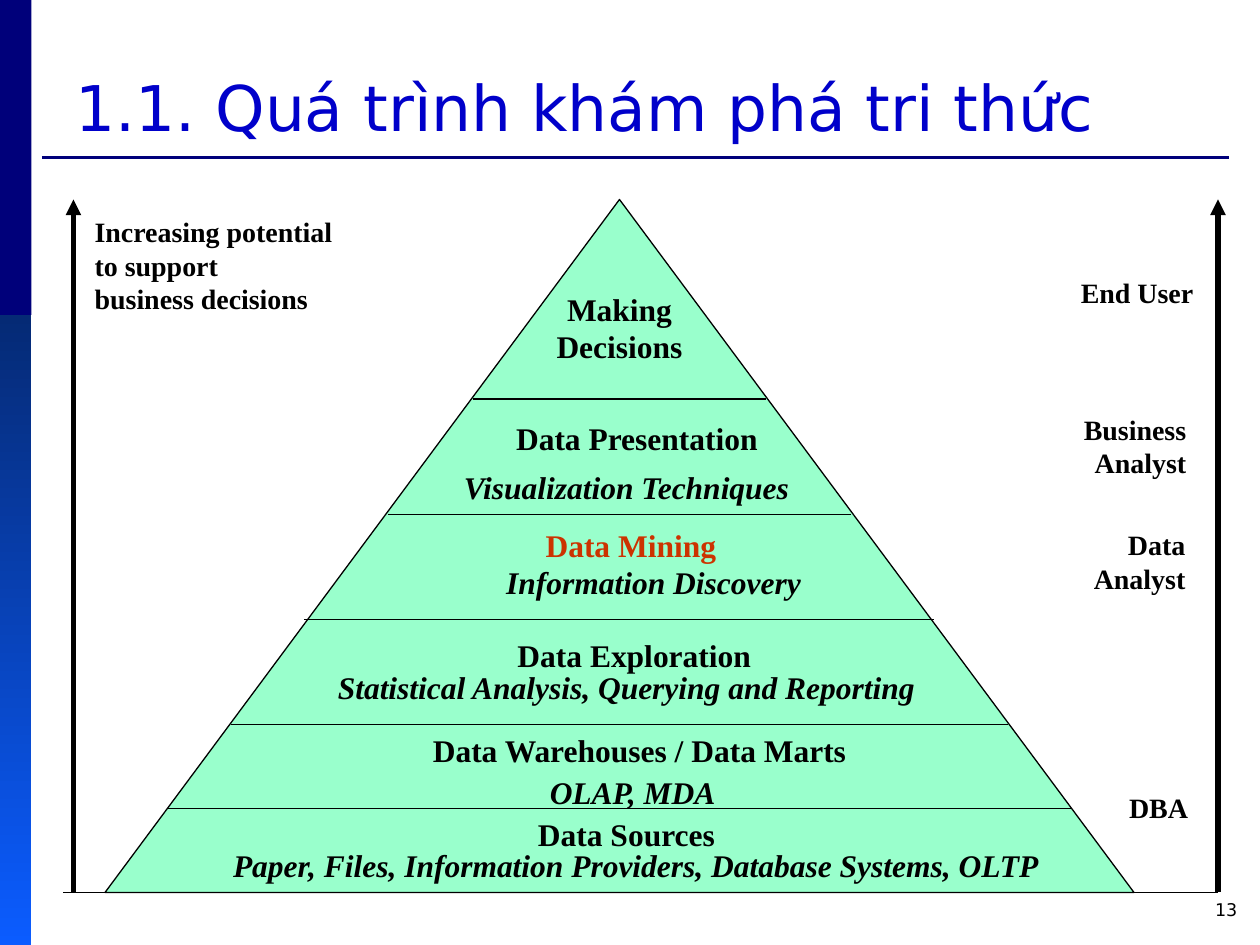
from lxml import etree
from pptx import Presentation
from pptx import util as u
from pptx.dml import color
from pptx.enum import shapes, text
from pptx.oxml import ns

SERIF, SANS = "Times New Roman", "DejaVu Sans"
NAVY, BLACK = "00007A", "000000"
LEFT, CENTER, RIGHT = text.PP_ALIGN.LEFT, text.PP_ALIGN.CENTER, text.PP_ALIGN.RIGHT


def rgb(value):
    return color.RGBColor.from_string(value)


class Page:
    def __init__(self, slide, font=SERIF):
        self.slide = slide
        self.font = font

    def shape(self, kind, box, fill, line=None, fill_to=None):
        shape = self.slide.shapes.add_shape(kind, *map(u.Pt, box))
        shape.shadow.inherit = False
        if fill_to:
            shape.fill.gradient()
            shape.fill.gradient_angle = 270
            for stop, value in zip(shape.fill.gradient_stops, (fill, fill_to)):
                stop.color.rgb = rgb(value)
        else:
            shape.fill.solid()
            shape.fill.fore_color.rgb = rgb(fill)
        if line:
            shape.line.color.rgb = rgb(line)
            shape.line.width = u.Pt(0.75)
        else:
            shape.line.fill.background()

    def line(self, x1, y1, x2, y2, width=0.75, value=BLACK, arrow=False):
        line = self.slide.shapes.add_connector(
            shapes.MSO_CONNECTOR.STRAIGHT, *map(u.Pt, (x1, y1, x2, y2)))
        line.line.color.rgb = rgb(value)
        line.line.width = u.Pt(width)
        properties = line._element.spPr
        if arrow:
            etree.SubElement(properties.find(ns.qn("a:ln")), ns.qn("a:tailEnd"), type="triangle")
        etree.SubElement(properties, ns.qn("a:effectLst"))

    def text(self, box, lines, size, align=LEFT, value=BLACK, bold=True,
             italic=False, font=None, wrap=False, anchor=text.MSO_ANCHOR.TOP):
        frame = self.slide.shapes.add_textbox(*map(u.Pt, box)).text_frame
        frame.word_wrap = wrap
        frame.vertical_anchor = anchor
        frame.text = lines
        for paragraph in frame.paragraphs:
            paragraph.alignment = align
            paragraph.font.name = font or self.font
            paragraph.font.size = u.Pt(size)
            paragraph.font.bold = bold
            paragraph.font.italic = italic
            paragraph.font.color.rgb = rgb(value)


def main():
    deck = Presentation()
    deck.slide_width, deck.slide_height = u.Pt(720), u.Pt(540)
    page = Page(deck.slides.add_slide(deck.slide_layouts[6]))

    # Side band and title
    page.shape(shapes.MSO_SHAPE.RECTANGLE, (0, 0, 18, 180), NAVY)
    page.line(24, 90, 702, 90, 1.5, NAVY)
    page.shape(shapes.MSO_SHAPE.RECTANGLE, (0, 180, 18, 360), "052A75", fill_to="0B5CFF")
    page.text((36, 6, 672, 80), "1.1. Quá trình khám phá tri thức", 36, value="0000CA",
              bold=False, font=SANS, wrap=True, anchor=text.MSO_ANCHOR.BOTTOM)

    # Pyramid and the lines between its levels
    top, base = 114, 510
    page.shape(shapes.MSO_SHAPE.FLOWCHART_EXTRACT, (60, top, 588, base - top), "99FFCC", BLACK)
    for y, left, right in [(462, 96, 612), (414, 132, 576), (354, 174, 534),
                           (294, 222, 486), (228, 270, 438)]:
        page.line(left, y, right, y)

    # Upward arrows and base line
    for x in (42, 696):
        page.line(x, base, x, top, 3, arrow=True)
    page.line(36, base, 696, base)

    # Side labels
    page.text((47, 119, 150, 65), "Increasing potential\nto support\nbusiness decisions", 16)
    for right, y, height, role in [(689, 154, 27, "End User"),
                                   (685, 232, 46, "Business\nAnalyst"),
                                   (684.5, 298, 46, "Data\nAnalyst"),
                                   (686, 448, 27, "DBA")]:
        page.text((right - 80, y, 80, height), role, 16, RIGHT)

    # Level names
    page.text((294, 162, 120, 50), "Making\nDecisions", 18, CENTER)
    for x, y, width, name in [(284, 236, 160, "Data Presentation"),
                              (300.5, 297, 120, "Data Mining"),
                              (282.5, 360, 160, "Data Exploration"),
                              (235, 414, 261, "Data Warehouses / Data Marts"),
                              (298, 462, 120, "Data Sources")]:
        page.text((x, y, width, 29), name, 18, CENTER,
                  "CC3300" if name == "Data Mining" else BLACK)

    # Level details
    for x, y, width, detail in [
            (248, 264, 220, "Visualization Techniques"),
            (273.5, 318, 200, "Information Discovery"),
            (178, 378, 360, "Statistical Analysis, Querying and Reporting"),
            (301.5, 438, 120, "OLAP, MDA"),
            (118.5, 480, 490, "Paper, Files, Information Providers, Database Systems, OLTP")]:
        page.text((x, y, width, 29), detail, 18, CENTER, italic=True)

    # Page number
    page.text((546, 510, 168, 24), "13", 10, RIGHT, bold=False, font=SANS, wrap=True)

    deck.save("out.pptx")


if __name__ == "__main__":
    main()
